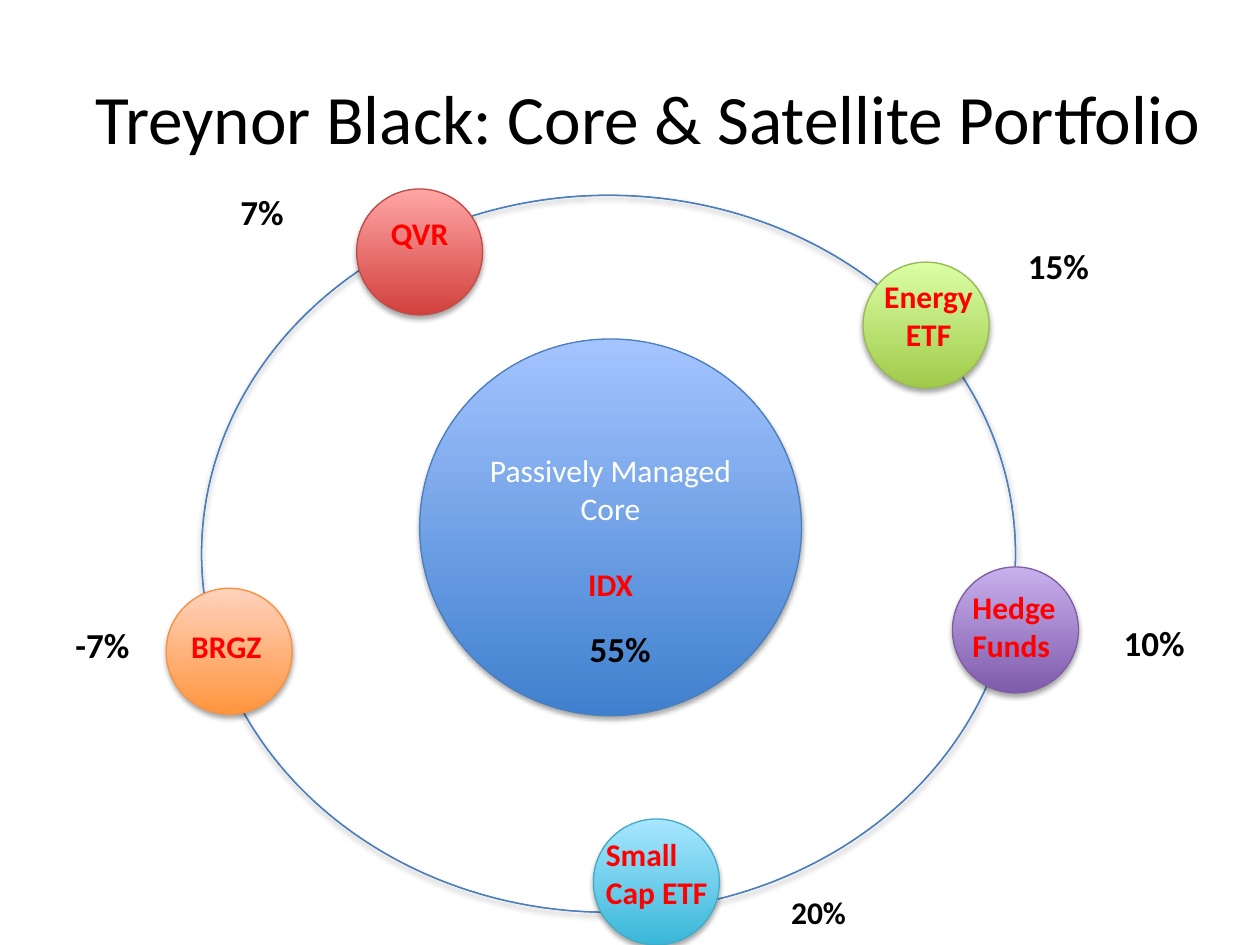
from dataclasses import dataclass

from lxml.etree import SubElement
from pptx import Presentation
from pptx.dml.color import RGBColor as RGB
from pptx.enum.shapes import MSO_SHAPE as Shape
from pptx.enum.text import MSO_ANCHOR as Anchor, MSO_AUTO_SIZE as AutoSize, PP_ALIGN as Align
from pptx.oxml.ns import qn
from pptx.util import Pt


@dataclass(frozen=True)
class Theme:
    font: str = "Calibri"
    title_size: float = 39.6
    body_size: float = 18
    weight_size: float = 20
    ink: str = "000000"
    light: str = "FFFFFF"
    accent: str = "FF0000"
    # Each set is bottom colour, top colour, outline
    blue: tuple = ("3F80CE", "A4C4FF", "4B7EBC")
    green: tuple = ("A0CA4A", "DAFFA5", "98B955")
    purple: tuple = ("7F5BAB", "C8B0ED", "7D60A0")
    red: tuple = ("D1403C", "FFA6A5", "BF4C48")
    orange: tuple = ("FF953E", "FFD2BD", "F69240")
    cyan: tuple = ("39B7D8", "A7E6FF", "46AAC5")


THEME = Theme()
SATELLITE_SIZE = 72
LINE_HEIGHT = 22

# Colours, left, top
SATELLITES = [
    (THEME.green, 493.2, 149.8),
    (THEME.purple, 544.3, 324),
    (THEME.orange, 95, 336.2),
    (THEME.cyan, 339.1, 468),
]
# Lines, left, top, width, alignment
NAMES = [
    (["Energy", "ETF"], 497.5, 154.8, 66.2, Align.CENTER),
    (["Hedge", "Funds"], 548.6, 332.6, 63.4, Align.LEFT),
    (["BRGZ"], 102.2, 355, 55.4, Align.LEFT),
    (["Small", "Cap ETF"], 339.1, 473.8, 72.7, Align.LEFT),
]
# Text, left, top, width, size
WEIGHTS = [
    ("55%", 329.8, 355, 49.7, THEME.weight_size),
    ("10%", 635, 351.4, 49.7, THEME.weight_size),
    ("15%", 580.3, 136.1, 49.7, THEME.weight_size),
    ("7%", 130.3, 105.1, 39.6, THEME.weight_size),
    ("-7%", 36, 352.8, 45.4, THEME.weight_size),
    ("20%", 445, 506.9, 46.1, THEME.body_size),
]


def write_line(frame, text, size, color, bold=False, align=Align.LEFT):
    """Fill the empty first paragraph, or add one after the last."""
    para = frame.paragraphs[0] if not frame.text else frame.add_paragraph()
    para.alignment = align
    span = para.add_run()
    span.text = text
    look = {"name": THEME.font, "size": Pt(size), "bold": bold}
    for name, value in look.items():
        setattr(span.font, name, value)
    span.font.color.rgb = RGB.from_string(color)
    return para


def add_shadow(shape):
    shape.shadow.inherit = False
    effects = shape._element.spPr.find(qn("a:effectLst"))
    outer = SubElement(effects, qn("a:outerShdw"), blurRad=str(Pt(3.1)),
                       dist=str(Pt(1.8)), dir="5400000", rotWithShape="0")
    color = SubElement(outer, qn("a:srgbClr"), val=THEME.ink)
    SubElement(color, qn("a:alpha"), val="35000")


def add_round(page, kind, colors, left, top, width, height):
    """Add a circle or ring with a vertical gradient, outline and shadow."""
    shape = page.shapes.add_shape(kind, Pt(left), Pt(top), Pt(width), Pt(height))
    bottom, upper, outline = colors
    shape.fill.gradient()
    shape.fill.gradient_angle = 90
    for stop, color, position in zip(shape.fill.gradient_stops, (bottom, upper), (0, 1)):
        stop.color.rgb = RGB.from_string(color)
        stop.position = position
    shape.line.color.rgb = RGB.from_string(outline)
    shape.line.width = Pt(0.75)
    add_shadow(shape)
    shape.text_frame.word_wrap = True
    shape.text_frame.vertical_anchor = Anchor.MIDDLE
    return shape


def add_satellite(page, colors, left, top):
    return add_round(page, Shape.OVAL, colors, left, top, SATELLITE_SIZE, SATELLITE_SIZE)


def add_label(page, lines, left, top, width, size, color, align=Align.LEFT):
    height = 7.2 + len(lines) * size * 1.22
    box = page.shapes.add_textbox(Pt(left), Pt(top), Pt(width), Pt(height))
    box.text_frame.word_wrap = False
    box.text_frame.auto_size = AutoSize.SHAPE_TO_FIT_TEXT
    for line in lines:
        write_line(box.text_frame, line, size, color, True, align)


def add_title(page, text):
    box = page.shapes.add_textbox(Pt(36), Pt(21.6), Pt(668.9), Pt(90))
    box.text_frame.word_wrap = True
    box.text_frame.vertical_anchor = Anchor.MIDDLE
    write_line(box.text_frame, text, THEME.title_size, THEME.ink, align=Align.CENTER)


def add_core(page):
    frame = add_round(page, Shape.OVAL, THEME.blue, 239.8, 193.7, 218.2, 215.3).text_frame
    write_line(frame, "Passively Managed Core", THEME.body_size, THEME.light, align=Align.CENTER)
    fund = write_line(frame, "IDX", THEME.body_size, THEME.accent, True, Align.CENTER)
    fund.space_before = Pt(LINE_HEIGHT)


def add_raised_satellite(page):
    """Add the satellite whose name sits one half line above its middle."""
    frame = add_satellite(page, THEME.red, 203.8, 108).text_frame
    frame.margin_bottom = Pt(3.6 + LINE_HEIGHT)
    write_line(frame, "QVR", THEME.body_size, THEME.accent, True, Align.CENTER)


def main():
    deck = Presentation()
    deck.slide_width, deck.slide_height = Pt(720), Pt(540)
    page = deck.slides.add_slide(deck.slide_layouts[6])

    add_title(page, "Treynor Black: Core & Satellite Portfolio")
    add_core(page)
    orbit = add_round(page, Shape.DONUT, THEME.blue, 115.2, 111.6, 465.1, 409.7)
    orbit.adjustments[0] = 0
    for satellite in SATELLITES:
        add_satellite(page, *satellite)
    add_raised_satellite(page)
    for lines, left, top, width, align in NAMES:
        add_label(page, lines, left, top, width, THEME.body_size, THEME.accent, align)
    for text, left, top, width, size in WEIGHTS:
        add_label(page, [text], left, top, width, size, THEME.ink)

    deck.save("out.pptx")


if __name__ == "__main__":
    main()
